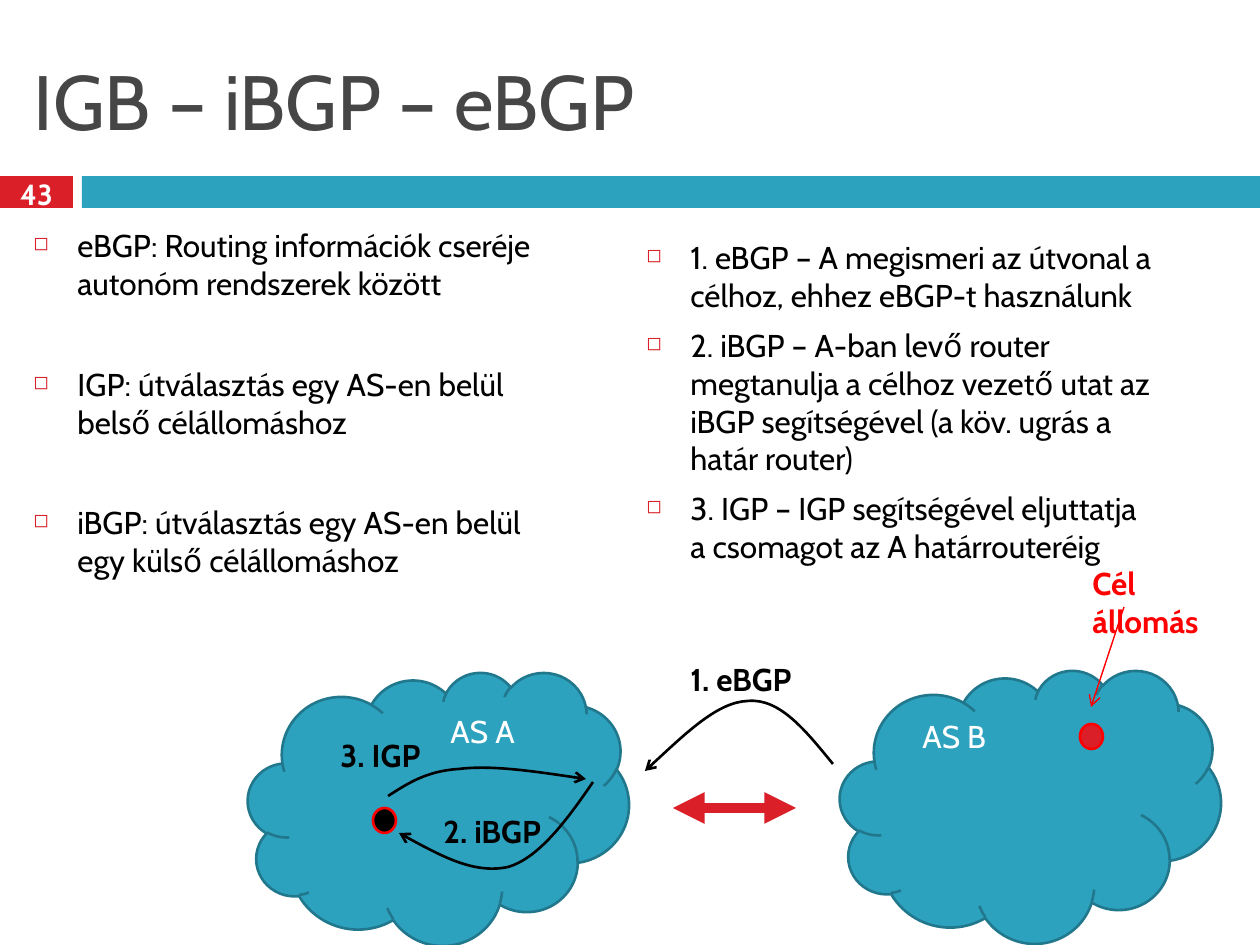
from dataclasses import dataclass

from lxml import etree
from pptx import Presentation
from pptx.dml.color import RGBColor
from pptx.enum.shapes import MSO_CONNECTOR, MSO_SHAPE
from pptx.enum.text import MSO_ANCHOR, MSO_AUTO_SIZE, PP_ALIGN
from pptx.oxml.ns import qn
from pptx.util import Pt

RECT, OVAL, CLOUD = MSO_SHAPE.RECTANGLE, MSO_SHAPE.OVAL, MSO_SHAPE.CLOUD
STRAIGHT = MSO_CONNECTOR.STRAIGHT
TOP, MIDDLE = MSO_ANCHOR.TOP, MSO_ANCHOR.MIDDLE
LEFT, CENTER = PP_ALIGN.LEFT, PP_ALIGN.CENTER
NO_FIT = MSO_AUTO_SIZE.NONE
SCALE = 914400 / 126


@dataclass(frozen=True)
class Theme:
    font: str = "Cabin"
    teal: str = "2DA2BF"
    teal_dark: str = "21788D"
    red: str = "DA1F28"
    alert: str = "FF0000"
    gray: str = "464646"
    black: str = "000000"
    white: str = "FFFFFF"
    title: float = 44
    body: float = 18
    number: float = 16.6


T = Theme()


@dataclass(frozen=True)
class Block:
    kind: MSO_SHAPE
    box: tuple[int, int, int, int]
    fill: str
    line: str | None = None


@dataclass(frozen=True)
class Label:
    text: str
    box: tuple[int, int, int, int]
    color: str = T.black
    bold: bool = True
    size: float = T.body
    align: PP_ALIGN = LEFT
    anchor: MSO_ANCHOR = TOP


@dataclass(frozen=True)
class Column:
    box: tuple[int, int, int, int]
    gap: int
    items: tuple[str, ...]


@dataclass(frozen=True)
class Arrow:
    start: tuple[int, int]
    end: tuple[int, int]
    color: str
    width: float
    ends: dict[str, str]


BARS = (
    Block(RECT, (0, 176, 73, 32), T.red),
    Block(RECT, (82, 176, 1178, 32), T.teal),
)
CLOUDS = tuple(
    Block(CLOUD, (x, y, 381, 273), T.teal, T.teal_dark)
    for x, y in ((840, 670), (248, 672))
)
ROUTERS = (
    Block(OVAL, (373, 808, 23, 25), T.black, T.alert),
    Block(OVAL, (1080, 724, 23, 25), T.red, T.alert),
)
COLUMNS = (
    Column((21, 220, 536, 703), 36, (
        "eBGP: Routing információk cseréje autonóm rendszerek között",
        "IGP: útválasztás egy AS-en belül belső célállomáshoz",
        "iBGP: útválasztás egy AS-en belül egy külső célállomáshoz",
    )),
    Column((634, 232, 536, 703), 7, (
        "1. eBGP – A megismeri az útvonal a célhoz, ehhez eBGP-t használunk",
        "2. iBGP – A-ban levő router megtanulja a célhoz vezető utat az "
        "iBGP segítségével (a köv. ugrás a határ router)",
        "3. IGP – IGP segítségével eljuttatja a csomagot az A határrouteréig",
    )),
)
ARROWS = (
    Arrow((673, 808), (796, 808), T.red, 6,
          {"headEnd": "triangle", "tailEnd": "triangle"}),
    Arrow((1124, 607), (1091, 707), T.alert, 0.79, {"tailEnd": "arrow"}),
)
CURVES = (
    ((833, 764), (806, 731), (780, 698), (748, 701),
     (718, 702), (682, 737), (645, 771)),
    ((593, 782), (567, 820), (539, 858), (508, 867),
     (475, 874), (437, 854), (399, 833)),
    ((388, 796), (407, 784), (426, 771), (459, 769),
     (491, 765), (539, 772), (586, 779)),
)
LABELS = (
    Label("43", (0, 173, 73, 42), T.white, size=T.number,
          align=CENTER, anchor=MIDDLE),
    Label("Cél állomás", (1080, 558, 180, 50), T.alert),
    Label("1. eBGP", (678, 654, 147, 50)),
    Label("AS A", (438, 706, 118, 50), T.white, False),
    Label("AS B", (910, 711, 118, 50), T.white, False),
    Label("2. iBGP", (431, 806, 155, 50)),
    Label("3. IGP", (328, 730, 160, 50)),
)


def px(*values: int) -> list[int]:
    return [round(v * SCALE) for v in values]


def rgb(color: str) -> RGBColor:
    return RGBColor.from_string(color)


def apply(target, formats: dict) -> None:
    for name, value in formats.items():
        setattr(target, name, value)


def write(p, text: str, size: float, color: str, bold: bool = False) -> None:
    r = p.add_run()
    r.text = text
    apply(r.font, {"name": T.font, "size": Pt(size), "bold": bold})
    r.font.color.rgb = rgb(color)


def stroke(sp, color: str, width: float) -> None:
    sp.line.color.rgb = rgb(color)
    sp.line.width = Pt(width)


def add_ends(sp, ends: dict[str, str]) -> None:
    ln = sp.element.spPr.find(qn("a:ln"))
    for tag, kind in ends.items():
        etree.SubElement(ln, qn(f"a:{tag}"), type=kind)


def add_block(s, block: Block) -> None:
    sp = s.shapes.add_shape(block.kind, *px(*block.box))
    sp.shadow.inherit = False
    sp.fill.solid()
    sp.fill.fore_color.rgb = rgb(block.fill)
    if block.line:
        stroke(sp, block.line, 1.5)
    else:
        sp.line.fill.background()


def add_label(s, label: Label) -> None:
    tf = s.shapes.add_textbox(*px(*label.box)).text_frame
    apply(tf, {"word_wrap": True, "vertical_anchor": label.anchor})
    p = tf.paragraphs[0]
    p.alignment = label.align
    write(p, label.text, label.size, label.color, label.bold)


def add_column(s, column: Column) -> None:
    tf = s.shapes.add_textbox(*px(*column.box)).text_frame
    tf.word_wrap = True
    indent, = px(44)
    for i, item in enumerate(column.items):
        p = tf.add_paragraph() if i else tf.paragraphs[0]
        p.space_before = Pt(column.gap if i else 7)
        write(p, item, T.body, T.black)
        pPr = p._p.get_or_add_pPr()
        pPr.set("marL", str(indent))
        pPr.set("indent", str(-indent))
        etree.SubElement(etree.SubElement(pPr, qn("a:buClr")),
                         qn("a:srgbClr"), val=T.red)
        etree.SubElement(pPr, qn("a:buSzPct"), val="60000")
        etree.SubElement(pPr, qn("a:buChar"), char="◻")


def add_arrow(s, arrow: Arrow) -> None:
    sp = s.shapes.add_connector(STRAIGHT, *px(*arrow.start, *arrow.end))
    stroke(sp, arrow.color, arrow.width)
    add_ends(sp, arrow.ends)
    etree.SubElement(sp.element.spPr, qn("a:effectLst"))


def add_curve(s, points: tuple[tuple[int, int], ...]) -> None:
    builder = s.shapes.build_freeform(*points[0], scale=SCALE)
    builder.add_line_segments(points[1:], close=False)
    sp = builder.convert_to_shape()
    sp.shadow.inherit = False
    sp.fill.background()
    stroke(sp, T.black, 1.5)
    add_ends(sp, {"tailEnd": "arrow"})
    lines = list(sp.element.iter(qn("a:lnTo")))
    for i in range(0, len(lines), 3):
        bezier = etree.SubElement(lines[i].getparent(), qn("a:cubicBezTo"))
        for line in lines[i:i + 3]:
            bezier.append(line[0])
            line.getparent().remove(line)


def add_title(s, text: str) -> None:
    sp = s.shapes.title
    apply(sp, dict(zip(("left", "top", "width", "height"),
                       px(21, 32, 1218, 136))))
    tf = sp.text_frame
    apply(tf, {"word_wrap": True, "auto_size": NO_FIT,
               "vertical_anchor": MIDDLE})
    p = tf.paragraphs[0]
    p.alignment = LEFT
    write(p, text, T.title, T.gray)


def main() -> None:
    prs = Presentation()
    prs.slide_width, prs.slide_height = px(1260, 945)
    s = prs.slides.add_slide(prs.slide_layouts[5])
    add_title(s, "IGB – iBGP – eBGP")
    for draw, items in (
        (add_block, BARS + CLOUDS + ROUTERS),
        (add_column, COLUMNS),
        (add_arrow, ARROWS),
        (add_curve, CURVES),
        (add_label, LABELS),
    ):
        for item in items:
            draw(s, item)
    prs.save("out.pptx")


if __name__ == "__main__":
    main()
